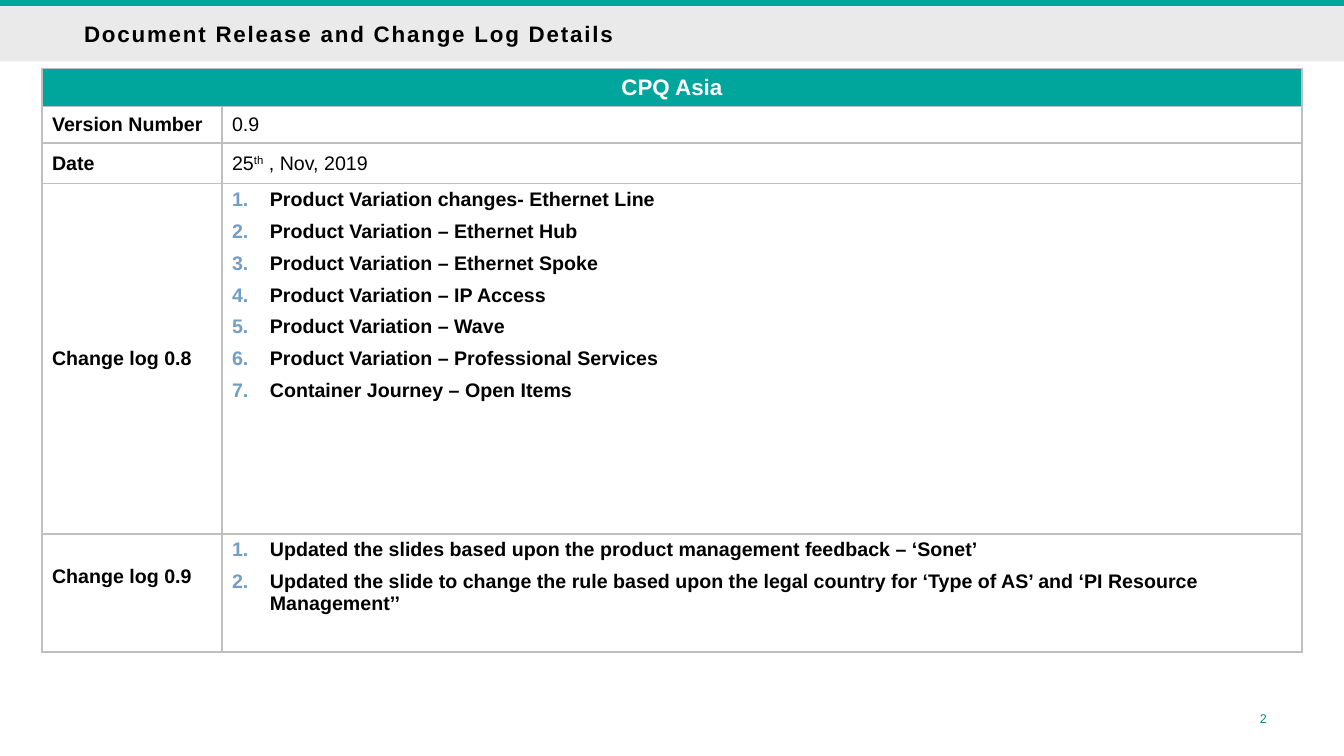
from dataclasses import dataclass

from pptx import Presentation
from pptx.dml.color import RGBColor as RGB
from pptx.enum.shapes import MSO_SHAPE as Shape
from pptx.enum.text import MSO_ANCHOR as Anchor, PP_ALIGN as Align
from pptx.oxml import parse_xml
from pptx.oxml.ns import nsdecls
from pptx.util import Pt


@dataclass(frozen=True)
class Theme:
    font: str = "Arial"
    teal: str = "00A59B"
    deep: str = "008C83"
    band: str = "E9E9E9"
    rule: str = "BFBFBF"
    mark: str = "739DC3"
    black: str = "000000"
    white: str = "FFFFFF"
    head: int = 16
    body: int = 14
    small: int = 9


T = Theme()
WIDE, TALL = 960, 540

CHANGES = {
    "Change log 0.8": [
        "Product Variation changes- Ethernet Line",
        "Product Variation – Ethernet Hub",
        "Product Variation – Ethernet Spoke",
        "Product Variation – IP Access",
        "Product Variation – Wave",
        "Product Variation – Professional Services",
        "Container Journey – Open Items",
    ],
    "Change log 0.9": [
        "Updated the slides based upon the product management feedback – ‘Sonet’",
        "Updated the slide to change the rule based upon the legal country for "
        "‘Type of AS’ and ‘PI Resource Management’’",
    ],
}


def node(tag, inner="", **attrs):
    """Make one drawing element."""
    pairs = " ".join(f'{key}="{val}"' for key, val in attrs.items())
    return parse_xml(f'<a:{tag} {nsdecls("a")} {pairs}>{inner}</a:{tag}>')


def add_run(para, text, size=T.body, color=T.black, bold=False, **attrs):
    run = para.add_run()
    run.text = text
    font = run.font
    font.name, font.size, font.bold = T.font, Pt(size), bold
    font.color.rgb = RGB.from_string(color)
    for key, val in attrs.items():
        run._r.get_or_add_rPr().set(key, str(val))


def add_bar(slide, top, height, color):
    bar = slide.shapes.add_shape(Shape.RECTANGLE, 0, Pt(top), Pt(WIDE), Pt(height))
    bar.shadow.inherit = False
    bar.fill.solid()
    bar.fill.fore_color.rgb = RGB.from_string(color)
    bar.line.fill.background()
    return bar


def set_frame(frame, left=0):
    frame.word_wrap = True
    frame.vertical_anchor = Anchor.MIDDLE
    frame.margin_left = Pt(left)
    frame.margin_right = frame.margin_top = frame.margin_bottom = 0
    return frame.paragraphs[0]


def add_title(slide, text):
    bar = add_bar(slide, 4.3, 39.6, T.band)
    bar.fill._xPr.find(".//{*}srgbClr").append(node("alpha", val=95000))
    para = set_frame(bar.text_frame, 60)
    para.alignment = Align.LEFT
    add_run(para, text, T.head, bold=True, spc=130)


def add_number(slide, text):
    box = slide.shapes.add_textbox(Pt(874), Pt(508.3), Pt(31), Pt(10))
    para = set_frame(box.text_frame)
    para.alignment = Align.RIGHT
    add_run(para, text, T.small, T.deep)


def style_cell(cell, fill=None):
    cell.vertical_anchor = Anchor.MIDDLE
    if fill:
        cell.fill.solid()
        cell.fill.fore_color.rgb = RGB.from_string(fill)
    else:
        cell.fill.background()
    ink = f'<a:solidFill><a:srgbClr val="{T.rule}"/></a:solidFill>'
    props = cell._tc.get_or_add_tcPr()
    for spot, side in enumerate("LRTB"):
        props.insert(spot, node(f"ln{side}", ink, w=Pt(1)))


def fill_list(cell, items):
    """Write a numbered list from the top of the cell."""
    cell.vertical_anchor = Anchor.TOP
    frame = cell.text_frame
    for spot, item in enumerate(items):
        para = frame.add_paragraph() if spot else frame.paragraphs[0]
        para.space_after = Pt(7)
        props = para._p.get_or_add_pPr()
        props.set("marL", str(Pt(27)))
        props.set("indent", str(-Pt(27)))
        props.append(node("buClr", f'<a:srgbClr val="{T.mark}"/>'))
        props.append(node("buFont", typeface=T.font))
        props.append(node("buAutoNum", type="arabicPeriod"))
        add_run(para, item, bold=True)


def add_log(slide):
    rows, cols = [27, 26, 29, 250.3, 84.2], [128.6, 771.4]
    grid = slide.shapes.add_table(
        len(rows), len(cols), Pt(30), Pt(49.2), Pt(sum(cols)), Pt(sum(rows))).table
    for row, size in zip(grid.rows, rows):
        row.height = Pt(size)
    for col, size in zip(grid.columns, cols):
        col.width = Pt(size)
    for row in range(len(rows)):
        for col in range(len(cols)):
            style_cell(grid.cell(row, col), None if row else T.teal)

    # Heading across both columns
    top = grid.cell(0, 0)
    top.merge(grid.cell(0, 1))
    para = top.text_frame.paragraphs[0]
    para.alignment = Align.CENTER
    add_run(para, "CPQ Asia", T.head, T.white, True)

    # Row labels
    for row, label in enumerate(["Version Number", "Date", *CHANGES], 1):
        add_run(grid.cell(row, 0).text_frame.paragraphs[0], label, bold=True)
    grid.cell(4, 0).margin_bottom = Pt(27.6)

    # Version, date and change lists
    add_run(grid.cell(1, 1).text_frame.paragraphs[0], "0.9")
    date = grid.cell(2, 1).text_frame.paragraphs[0]
    add_run(date, "25")
    add_run(date, "th", baseline=30000)
    add_run(date, " , Nov, 2019")
    for row, items in enumerate(CHANGES.values(), 3):
        fill_list(grid.cell(row, 1), items)


def main():
    deck = Presentation()
    deck.slide_width, deck.slide_height = Pt(WIDE), Pt(TALL)
    slide = deck.slides.add_slide(deck.slide_layouts[6])
    add_bar(slide, 0, 4.3, T.teal)
    add_number(slide, "2")
    add_title(slide, "Document Release and Change Log Details")
    add_log(slide)
    deck.save("out.pptx")


if __name__ == "__main__":
    main()
